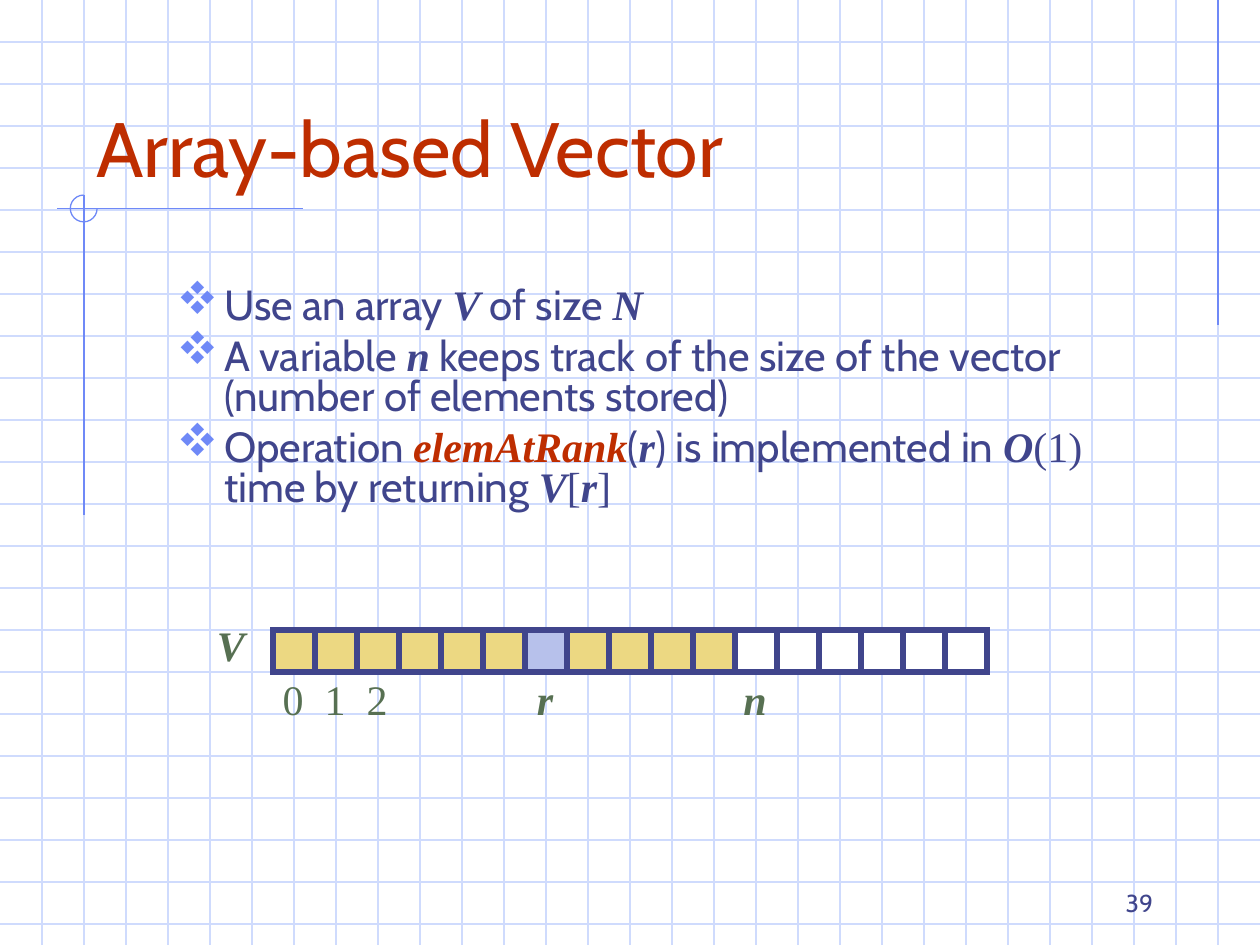
"""Build the slide on the array-based vector."""
from lxml.etree import SubElement
from pptx import Presentation
from pptx.dml.color import RGBColor
from pptx.enum.shapes import MSO_CONNECTOR as CONN, MSO_SHAPE as SHAPE
from pptx.enum.text import MSO_ANCHOR as ANCHOR, PP_ALIGN as ALIGN
from pptx.oxml.ns import qn
from pptx.util import Pt

GRID_BLUE = RGBColor(0xCF, 0xDB, 0xFD)
ACCENT = RGBColor(0x6F, 0x89, 0xF7)
NAVY = RGBColor(0x40, 0x45, 0x8C)
RED = RGBColor(0xBE, 0x2D, 0x00)
GREEN = RGBColor(0x57, 0x70, 0x52)
GOLD = RGBColor(0xEC, 0xD8, 0x82)
LILAC = RGBColor(0xB7, 0xC1, 0xEB)
WHITE = RGBColor(0xFF, 0xFF, 0xFF)

SANS, SERIF = "Cabin", "Times New Roman"
WIDTH, HEIGHT, STEP = 720, 540, 24
ARRAY_LEFT, ARRAY_TOP = 156, 360
ARRAY_SIZE, USED, RANK = 17, 11, 6

VAR = dict(font=SERIF, bold=True, italic=True)
MATH = dict(font=SERIF)
CALL = dict(VAR, color=RED)

POINTS = [
    [("Use an array ", {}), ("V", VAR), (" of size ", {}), ("N", VAR)],
    [("A variable ", {}), ("n", VAR),
     (" keeps track of the size of the vector (number of elements stored)", {})],
    [("Operation ", {}), ("elemAtRank", CALL), ("(", {}), ("r", VAR),
     (") is implemented in ", {}), ("O", VAR), ("(1)", MATH),
     (" time by returning ", {}), ("V", VAR), ("[", MATH), ("r", VAR), ("]", MATH)],
]


def add_line(s, x1, y1, x2, y2, color):
    """Draw a thin straight line without a shadow."""
    ln = s.shapes.add_connector(CONN.STRAIGHT, Pt(x1), Pt(y1), Pt(x2), Pt(y2))
    ln.line.color.rgb = color
    ln.line.width = Pt(0.75)
    SubElement(ln._element.spPr, qn("a:effectLst"))


def add_shape(s, kind, x, y, size, fill, color, weight):
    """Draw a sharp-cornered shape in a square frame, unfilled if fill is None."""
    sp = s.shapes.add_shape(kind, Pt(x), Pt(y), Pt(size), Pt(size))
    sp.shadow.inherit = False
    if fill is None:
        sp.fill.background()
    else:
        sp.fill.solid()
        sp.fill.fore_color.rgb = fill
    sp.line.color.rgb = color
    sp.line.width = Pt(weight)
    SubElement(sp.line._get_or_add_ln(), qn("a:miter"), lim="800000")
    return sp


def add_bullet(p):
    """Give a paragraph a hanging diamond bullet."""
    pPr = p._p.get_or_add_pPr()
    pPr.set("marL", str(Pt(27)))
    pPr.set("indent", str(Pt(-27)))
    clr = SubElement(pPr, qn("a:buClr"))
    SubElement(clr, qn("a:srgbClr"), val=str(ACCENT))
    SubElement(pPr, qn("a:buSzPct"), val="110000")
    SubElement(pPr, qn("a:buFont"), typeface="Wingdings", pitchFamily="2", charset="2")
    SubElement(pPr, qn("a:buChar"), char="v")


def add_text(s, paragraphs, x, y, w, h, *, size=24, font=SANS, color=NAVY,
             bold=False, italic=False, align=ALIGN.LEFT, anchor=ANCHOR.TOP,
             inset=(7.2, 3.6), bullets=False, spacing=None, before=0):
    """Place paragraphs, each a list of (text, format) runs, in a text box."""
    tf = s.shapes.add_textbox(Pt(x), Pt(y), Pt(w), Pt(h)).text_frame
    tf.word_wrap = True
    tf.vertical_anchor = anchor
    tf.margin_left = tf.margin_right = Pt(inset[0])
    tf.margin_top = tf.margin_bottom = Pt(inset[1])
    base = dict(font=font, color=color, bold=bold, italic=italic)
    for i, runs in enumerate(paragraphs):
        p = tf.add_paragraph() if i else tf.paragraphs[0]
        if bullets:
            add_bullet(p)
        p.alignment = align
        if spacing:
            p.line_spacing = spacing
        if i and before:
            p.space_before = Pt(before)
        for text, changes in runs:
            look = {**base, **changes}
            r = p.add_run()
            r.text = text
            r.font.size = Pt(size)
            r.font.name = look["font"]
            r.font.bold = look["bold"]
            r.font.italic = look["italic"]
            r.font.color.rgb = look["color"]


def add_background(s):
    """Draw the grid and the ornamental lines."""
    for y in range(STEP, HEIGHT, STEP):
        add_line(s, 0, y, WIDTH, y, GRID_BLUE)
    for x in range(STEP, WIDTH, STEP):
        add_line(s, x, 0, x, HEIGHT, GRID_BLUE)
    add_line(s, 696, 0, 696, 186, ACCENT)
    add_line(s, 173, 119.2, 32.5, 119.2, ACCENT)
    add_line(s, 48, 111.5, 48, 294.5, ACCENT)
    arc = add_shape(s, SHAPE.ARC, 40.2, 111.5, 15.3, None, ACCENT, 0.75)
    arc.adjustments[0] = 0
    arc.adjustments[1] = 162


def add_label(s, text, center, y, **look):
    """Center a label of the array on a given x."""
    add_text(s, [[(text, look)]], center - 11.5, y, 23, 29, color=GREEN,
             align=ALIGN.CENTER, inset=(0, 0))


def add_array(s):
    """Draw the array cells with their index labels."""
    for i in range(ARRAY_SIZE):
        fill = LILAC if i == RANK else GOLD if i < USED else WHITE
        add_shape(s, SHAPE.RECTANGLE, ARRAY_LEFT + i * STEP, ARRAY_TOP, STEP,
                  fill, NAVY, 3)
    add_label(s, "V", 132, 354, **VAR)
    indices = [(0, "0", MATH), (1, "1", MATH), (2, "2", MATH),
               (RANK, "r", VAR), (USED, "n", VAR)]
    for i, text, look in indices:
        add_label(s, text, ARRAY_LEFT + (i + 0.5) * STEP - 0.5, 385, **look)


def main():
    """Build and save the slide."""
    prs = Presentation()
    prs.slide_width, prs.slide_height = Pt(WIDTH), Pt(HEIGHT)
    s = prs.slides.add_slide(prs.slide_layouts[6])
    add_background(s)
    add_text(s, [[("Array-based Vector", {})]], 48, 24, 612, 90, size=44,
             color=RED, anchor=ANCHOR.BOTTOM)
    add_text(s, POINTS, 94, 161, 555, 136, bullets=True, spacing=0.8, before=6)
    add_array(s)
    add_text(s, [[("39", {})]], 516, 492, 150, 36, size=14, align=ALIGN.RIGHT,
             anchor=ANCHOR.BOTTOM)
    prs.save("out.pptx")


if __name__ == "__main__":
    main()
